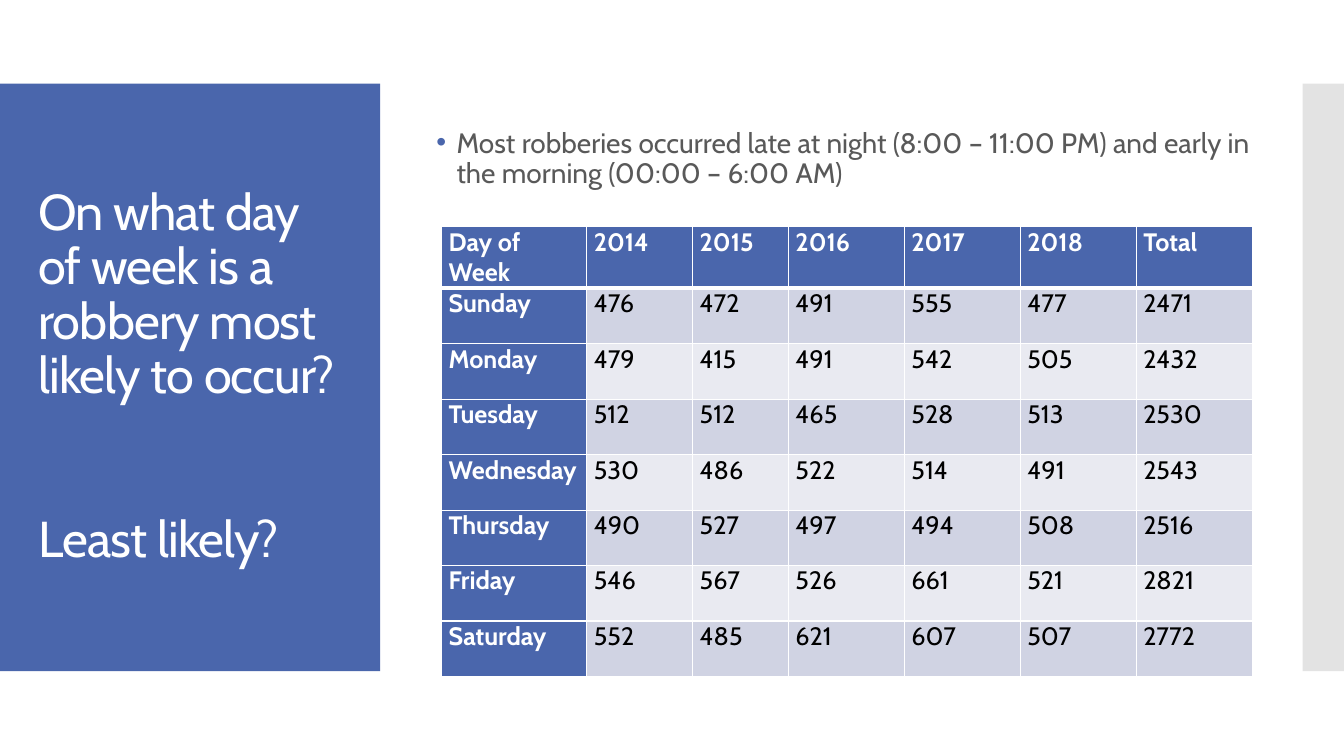
from lxml import etree
from pptx import Presentation
from pptx.dml.color import RGBColor
from pptx.enum import shapes, text
from pptx.oxml.ns import qn
from pptx.util import Inches, Pt

BLUE = RGBColor(0x4A, 0x66, 0xAC)
GREY = RGBColor(0xC8, 0xC8, 0xC8)
DARK = RGBColor(0x59, 0x59, 0x59)
BLACK = RGBColor(0, 0, 0)
WHITE = RGBColor(0xFF, 0xFF, 0xFF)
BANDS = [RGBColor(0xD0, 0xD3, 0xE3), RGBColor(0xE9, 0xEA, 0xF1)]


def style(para, size, color, bold=False):
    for run in para.runs:
        run.font.name = "Cabin"
        run.font.size = Pt(size)
        run.font.bold = bold
        run.font.color.rgb = color


def border(cell, side, width):
    line = etree.SubElement(cell._tc.get_or_add_tcPr(), qn("a:" + side), w=str(Pt(width)))
    fill = etree.SubElement(line, qn("a:solidFill"))
    etree.SubElement(fill, qn("a:srgbClr"), val=str(WHITE))


prs = Presentation()
prs.slide_width, prs.slide_height = Inches(13.33), Inches(7.5)
slide = prs.slides.add_slide(prs.slide_layouts[5])
title = slide.shapes.title

# Side panels, behind the title
for left, width, color in [(0, 3.77, BLUE), (12.92, 0.41, GREY)]:
    panel = slide.shapes.add_shape(shapes.MSO_SHAPE.RECTANGLE, Inches(left),
                                   Inches(0.83), Inches(width), Inches(5.83))
    panel.shadow.inherit = False
    panel.fill.solid()
    panel.fill.fore_color.rgb = color
    panel.line.fill.background()
    title._element.addprevious(panel._element)
tint = panel._element.spPr.find(".//" + qn("a:srgbClr"))
etree.SubElement(tint, qn("a:alpha"), val="50000")

# Title
title.left, title.top = Inches(0.28), Inches(1.23)
title.width, title.height = Inches(3.22), Inches(5.03)
frame = title.text_frame
frame.text = "On what day of week is a robbery most likely to occur?\nLeast likely?"
frame.word_wrap = True
frame.auto_size = text.MSO_AUTO_SIZE.NONE
frame.vertical_anchor = text.MSO_ANCHOR.MIDDLE
for para in frame.paragraphs:
    para.alignment = text.PP_ALIGN.LEFT
    para.line_spacing = 0.9
    style(para, 36, WHITE)
    for run in para.runs:
        run.font._element.set("spc", "-60")
frame.paragraphs[1].space_before = Pt(78)

# Table of robberies by day and year
rows = [
    ["Day of Week", 2014, 2015, 2016, 2017, 2018, "Total"],
    ["Sunday", 476, 472, 491, 555, 477, 2471],
    ["Monday", 479, 415, 491, 542, 505, 2432],
    ["Tuesday", 512, 512, 465, 528, 513, 2530],
    ["Wednesday", 530, 486, 522, 514, 491, 2543],
    ["Thursday", 490, 527, 497, 494, 508, 2516],
    ["Friday", 546, 567, 526, 661, 521, 2821],
    ["Saturday", 552, 485, 621, 607, 507, 2772],
]
widths = [1.44, 1.05, 0.95] + [1.15] * 4
table = slide.shapes.add_table(len(rows), len(widths), Inches(4.38), Inches(2.25),
                               Inches(sum(widths)), Inches(4.4)).table
table.first_col = True
for col, width in zip(table.columns, widths):
    col.width = Inches(width)
for r, row in enumerate(rows):
    table.rows[r].height = Inches(0.55)
    for c, value in enumerate(row):
        cell = table.cell(r, c)
        head = r == 0 or c == 0
        cell.text = str(value)
        cell.margin_left = cell.margin_right = Inches(0.07)
        cell.margin_top = cell.margin_bottom = 0
        style(cell.text_frame.paragraphs[0], 18, WHITE if head else BLACK, head)
        for side in ("lnL", "lnR", "lnT", "lnB"):
            thick = (r == 0 and side == "lnB") or (r == 1 and side == "lnT")
            border(cell, side, 3 if thick else 1)
        cell.fill.solid()
        cell.fill.fore_color.rgb = BLUE if head else BANDS[(r - 1) % 2]

# Bullet above the table
note = slide.shapes.add_textbox(Inches(4.23), Inches(1.23), Inches(8.33), Inches(1.66))
note.text_frame.word_wrap = True
para = note.text_frame.paragraphs[0]
para.text = ("Most robberies occurred late at night (8:00 – 11:00 PM) "
             "and early in the morning (00:00 – 6:00 AM)")
props = para._p.get_or_add_pPr()
props.set("marL", str(Inches(0.2)))
props.set("indent", str(Inches(-0.2)))
tone = etree.SubElement(props, qn("a:buClr"))
etree.SubElement(tone, qn("a:srgbClr"), val=str(BLUE))
etree.SubElement(props, qn("a:buFont"), typeface="Arial")
etree.SubElement(props, qn("a:buChar"), char="•")
para.line_spacing = 0.9
style(para, 20, DARK)

prs.save("out.pptx")
